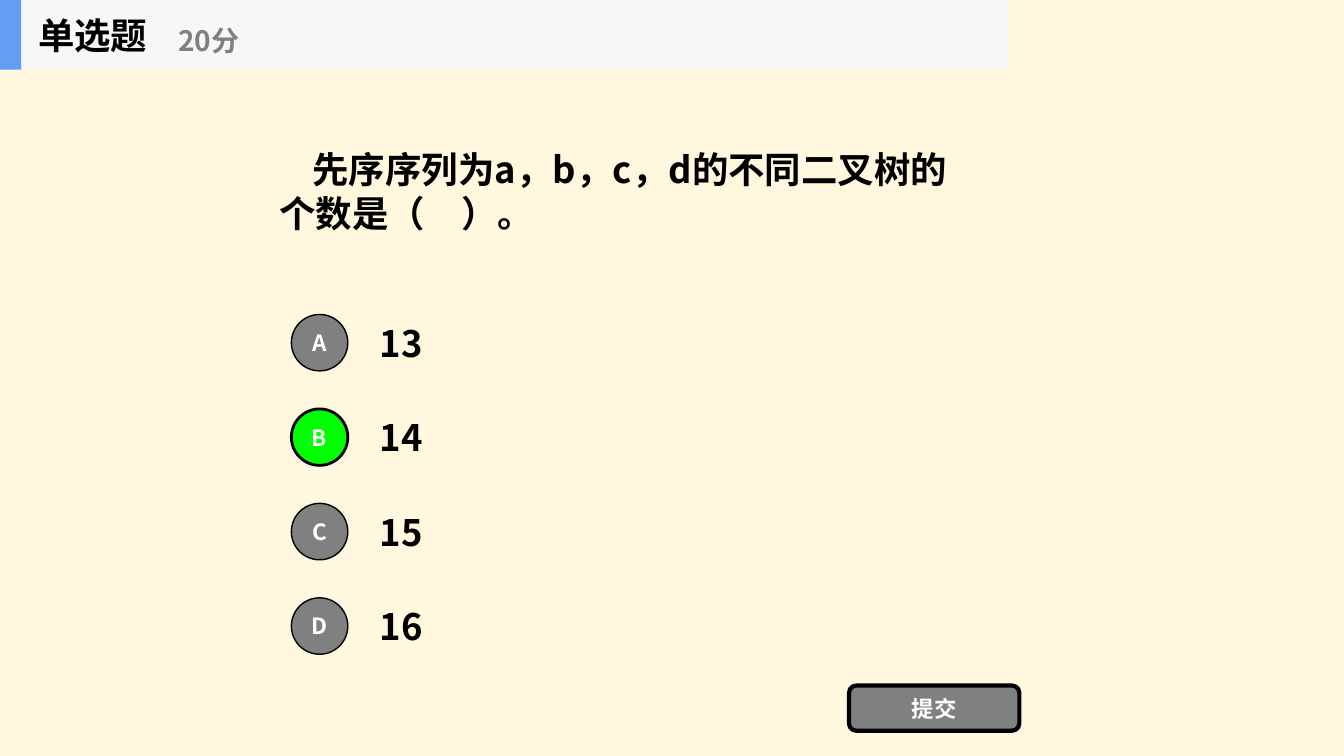
from dataclasses import dataclass

import pptx
import pptx.dml.color
import pptx.enum.shapes
import pptx.enum.text
import pptx.oxml
import pptx.oxml.ns
import pptx.util
from pptx.util import Inches

Shapes = pptx.enum.shapes.MSO_SHAPE
Align = pptx.enum.text.PP_ALIGN


@dataclass(frozen=True)
class Theme:
    font: str = "Noto Sans CJK SC"
    background: str = "FFF7DE"
    ink: str = "000000"
    muted: str = "808080"
    correct: str = "00FF00"
    white: str = "FFFFFF"
    band: str = "F6F7F8"
    accent: str = "639EF4"
    large: int = 26
    medium: int = 20
    small: int = 16
    question_leading: float = 31.5


THEME = Theme()


def color(value):
    return pptx.dml.color.RGBColor.from_string(value)


def write(shape, text, size, ink, align=Align.LEFT):
    frame = shape.text_frame
    frame.word_wrap = True
    frame.auto_size = pptx.enum.text.MSO_AUTO_SIZE.NONE
    frame.vertical_anchor = pptx.enum.text.MSO_ANCHOR.MIDDLE
    paragraph = frame.paragraphs[0]
    paragraph.alignment = align
    run = paragraph.add_run()
    run.text = text
    run.font.name = THEME.font
    run.font.size = pptx.util.Pt(size)
    run.font.bold = True
    run.font.color.rgb = color(ink)
    east_asian = pptx.oxml.parse_xml(
        f'<a:ea {pptx.oxml.ns.nsdecls("a")} typeface="{THEME.font}"/>'
    )
    run.font._element.find(pptx.oxml.ns.qn("a:latin")).addnext(east_asian)
    return paragraph


def add_label(shapes, text, left, top, width, height, size, ink=THEME.ink):
    box = shapes.add_textbox(Inches(left), Inches(top), Inches(width), Inches(height))
    write(box, text, size, ink)


def add_block(shapes, kind, left, top, width, height, fill, line_width=0):
    block = shapes.add_shape(
        kind, Inches(left), Inches(top), Inches(width), Inches(height)
    )
    block.shadow.inherit = False
    block.fill.solid()
    block.fill.fore_color.rgb = color(fill)
    if line_width:
        block.line.color.rgb = color(THEME.ink)
        block.line.width = pptx.util.Pt(line_width)
    else:
        block.line.fill.background()
    return block


def add_button(shapes, kind, text, left, top, width, height, fill, line_width):
    button = add_block(shapes, kind, left, top, width, height, fill, line_width)
    frame = button.text_frame
    frame.margin_left = frame.margin_right = 0
    frame.margin_top = frame.margin_bottom = 0
    write(button, text, THEME.small, THEME.white, Align.CENTER)


def add_question(slide, text):
    title = slide.shapes.title
    title.left, title.top = Inches(2.67), Inches(0.69)
    title.width, title.height = Inches(7.07), Inches(2.34)
    title.text_frame.margin_top = Inches(0.12)
    paragraph = write(title, text, THEME.large, THEME.ink)
    paragraph.line_spacing = pptx.util.Pt(THEME.question_leading)
    paragraph._p.get_or_add_pPr().set("indent", str(Inches(0.33)))


def add_options(shapes, answers, correct):
    first_top, pitch = 3.05, 0.937
    for index, (letter, answer) in enumerate(answers.items()):
        top = first_top + index * pitch
        chosen = letter == correct
        add_label(shapes, answer, 3.67, top, 7, 0.7, THEME.large)
        add_button(
            shapes, Shapes.OVAL, letter, 2.89, top + 0.07, 0.56, 0.56,
            THEME.correct if chosen else THEME.muted, 2 if chosen else 1,
        )


def add_header(slide, kind, score):
    shapes = slide.shapes.add_group_shape().shapes
    add_block(shapes, Shapes.RECTANGLE, 0, 0, 10, 0.69, THEME.band)
    add_block(shapes, Shapes.RECTANGLE, 0, 0, 0.21, 0.69, THEME.accent)
    add_label(shapes, kind, 0.28, 0, 2.08, 0.69, THEME.large)
    add_label(shapes, score, 1.67, 0.12, 2.5, 0.56, THEME.medium, THEME.muted)


def main():
    presentation = pptx.Presentation()
    presentation.slide_width = Inches(13.33)
    presentation.slide_height = Inches(7.5)
    slide = presentation.slides.add_slide(presentation.slide_layouts[5])
    slide.background.fill.solid()
    slide.background.fill.fore_color.rgb = color(THEME.background)

    add_question(slide, "先序序列为a，b，c，d的不同二叉树的个数是（　）。")
    add_options(slide.shapes, {"A": "13", "B": "14", "C": "15", "D": "16"}, "B")
    add_button(
        slide.shapes, Shapes.ROUNDED_RECTANGLE, "提交",
        8.42, 6.8, 1.69, 0.45, THEME.muted, 3,
    )
    add_header(slide, "单选题", "20分")
    presentation.save("out.pptx")


if __name__ == "__main__":
    main()
